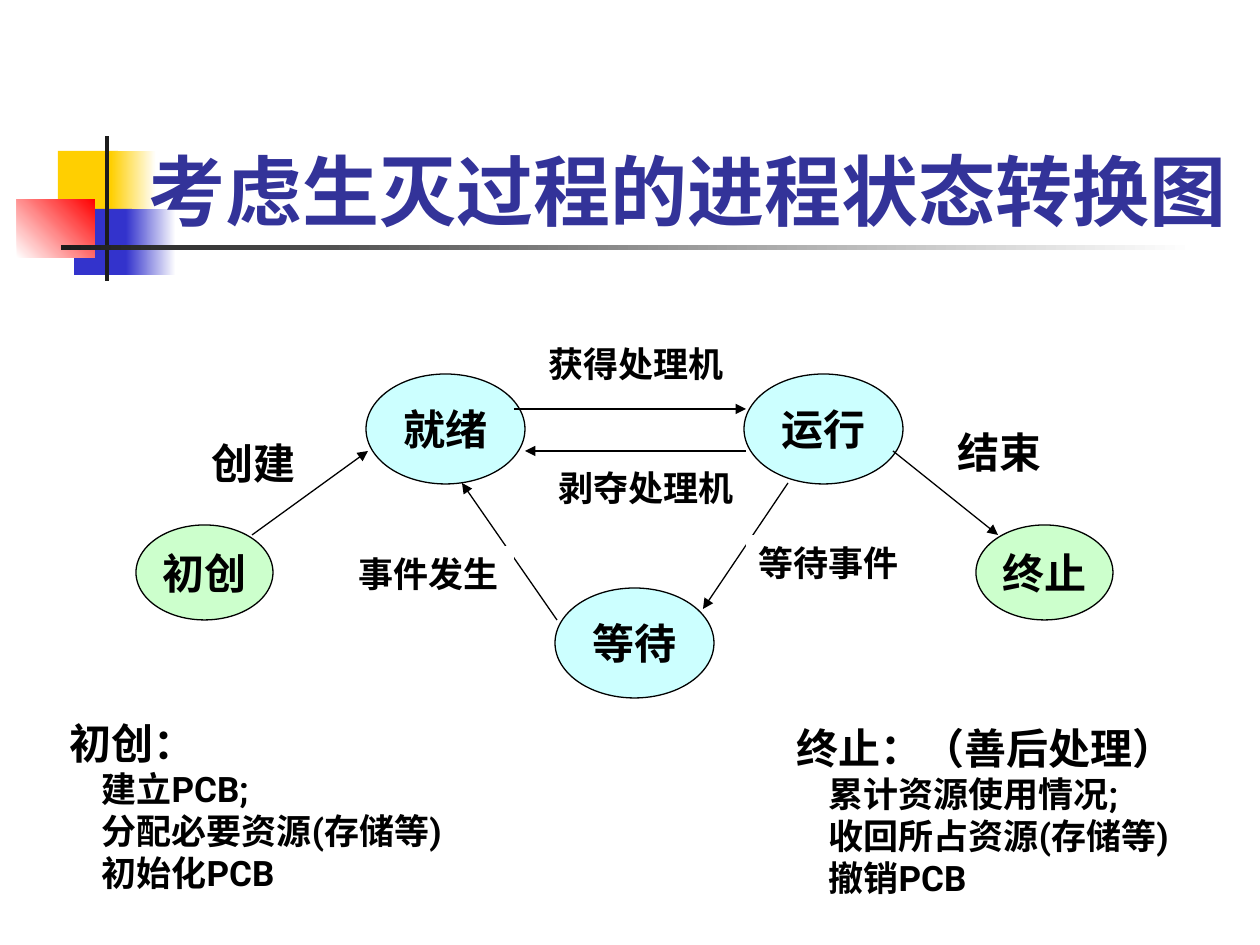
from lxml import etree
from pptx import Presentation
from pptx.dml.color import RGBColor
from pptx.enum.shapes import MSO_CONNECTOR, MSO_SHAPE
from pptx.enum.text import MSO_ANCHOR, PP_ALIGN
from pptx.oxml.ns import qn
from pptx.util import Pt

RECT, OVAL = MSO_SHAPE.RECTANGLE, MSO_SHAPE.OVAL
STRAIGHT = MSO_CONNECTOR.STRAIGHT
TOP, MIDDLE, BOTTOM = MSO_ANCHOR.TOP, MSO_ANCHOR.MIDDLE, MSO_ANCHOR.BOTTOM
LEFT, CENTER = PP_ALIGN.LEFT, PP_ALIGN.CENTER

WHITE = RGBColor(0xFF, 0xFF, 0xFF)
BLACK = RGBColor(0x00, 0x00, 0x00)
CHARCOAL = RGBColor(0x1C, 0x1C, 0x1C)
YELLOW = RGBColor(0xFF, 0xCF, 0x01)
BLUE = RGBColor(0x33, 0x33, 0xCC)
RED = RGBColor(0xFF, 0x00, 0x00)
NAVY = RGBColor(0x33, 0x33, 0x99)
CYAN = RGBColor(0xCC, 0xFF, 0xFF)
GREEN = RGBColor(0xCC, 0xFF, 0xCC)

SANS, SERIF = "Roboto", "Times New Roman"
EMU_PER_PX = 914400 / 126
INDENT = 32

TITLE = ("考虑生灭过程的进程状态转换图", (136, 84, 1109, 158))

# box, colours (two make a gradient), gradient angle
DECORATION = [
    ((58, 151, 60, 66), (YELLOW,), 0),
    ((111, 151, 45, 66), (YELLOW, WHITE), 0),
    ((74, 209, 58, 66), (BLUE,), 0),
    ((126, 209, 50, 66), (BLUE, WHITE), 0),
    ((17, 199, 78, 59), (WHITE, RED), 45),
    ((105, 136, 4, 145), (CHARCOAL,), 0),
    ((61, 245, 1134, 5), (CHARCOAL, WHITE), 0),
]

CORE_SIZE, END_SIZE = (159, 110), (137, 95)
# name, left and top, size, fill
STATES = [
    ("就绪", (366, 374), CORE_SIZE, CYAN),
    ("等待", (555, 588), CORE_SIZE, CYAN),
    ("运行", (744, 374), CORE_SIZE, CYAN),
    ("初创", (136, 525), END_SIZE, GREEN),
    ("终止", (976, 525), END_SIZE, GREEN),
]

TRANSITIONS = [
    ((514, 409), (746, 409)),
    ((788, 483), (703, 609)),
    ((557, 620), (462, 483)),
    ((746, 451), (525, 451)),
    ((252, 535), (368, 451)),
    ((893, 451), (998, 535)),
]

# text, box, size, fill
LABELS = [
    ("获得处理机", (536, 336, 210, 55), 20, WHITE),
    ("剥夺处理机", (546, 460, 210, 55), 20, WHITE),
    ("等待事件", (746, 535, 168, 55), 20, WHITE),
    ("事件发生", (346, 546, 168, 55), 20, WHITE),
    ("创建", (199, 431, 126, 63), 24, None),
    ("结束", (945, 420, 158, 63), 24, None),
]

NOTES = [
    ((57, 711, 432, 189), "初创：",
     ["建立PCB;", "分配必要资源(存储等)", "初始化PCB"]),
    ((784, 716, 432, 189), "终止：（善后处理）",
     ["累计资源使用情况;", "收回所占资源(存储等)", "撤销PCB"]),
]


def px(n):
    return round(n * EMU_PER_PX)


def add_block(s, kind, box, colors, angle=0):
    sp = s.shapes.add_shape(kind, *map(px, box))
    sp.shadow.inherit = False
    sp.line.fill.background()
    if len(colors) == 1:
        sp.fill.solid()
        sp.fill.fore_color.rgb = colors[0]
    else:
        sp.fill.gradient()
        sp.fill.gradient_angle = angle
        for stop, color in zip(sp.fill.gradient_stops, colors):
            stop.color.rgb = color
    return sp


def write(sp, lines, font, color=BLACK, anchor=TOP, align=LEFT, wrap=True):
    """Fill a shape with bold lines, each given as (text, size, indent)."""
    tf = sp.text_frame
    tf.word_wrap = wrap
    tf.vertical_anchor = anchor
    for i, (text, size, indent) in enumerate(lines):
        p = tf.add_paragraph() if i else tf.paragraphs[0]
        p.alignment = align
        if indent:
            p._p.get_or_add_pPr().set("marL", str(px(indent)))
        r = p.add_run()
        r.text = text
        for name, value in {"name": font, "size": Pt(size), "bold": True}.items():
            setattr(r.font, name, value)
        r.font.color.rgb = color


def add_arrow(s, start, end):
    line = s.shapes.add_connector(STRAIGHT, *map(px, start + end))
    line.line.color.rgb = BLACK
    line.line.width = Pt(0.75)
    etree.SubElement(line.line._get_or_add_ln(), qn("a:tailEnd"), type="triangle")
    etree.SubElement(line._element.spPr, qn("a:effectLst"))


def add_text(s, box):
    return s.shapes.add_textbox(*map(px, box))


def main():
    prs = Presentation()
    prs.slide_width, prs.slide_height = px(1260), px(945)
    s = prs.slides.add_slide(prs.slide_layouts[6])

    for box, colors, angle in DECORATION:
        add_block(s, RECT, box, colors, angle)
    title, box = TITLE
    write(add_text(s, box), [(title, 44, 0)], SANS, NAVY, BOTTOM)

    for name, corner, size, fill in STATES:
        sp = add_block(s, OVAL, corner + size, (fill,))
        sp.line.color.rgb = BLACK
        sp.line.width = Pt(0.75)
        write(sp, [(name, 24, 0)], SERIF, BLACK, MIDDLE, CENTER, False)
    for start, end in TRANSITIONS:
        add_arrow(s, start, end)
    for text, box, size, fill in LABELS:
        sp = add_block(s, RECT, box, (fill,)) if fill else add_text(s, box)
        write(sp, [(text, size, 0)], SERIF)
    for box, heading, items in NOTES:
        lines = [(heading, 24, 0)] + [(item, 20, INDENT) for item in items]
        write(add_text(s, box), lines, SANS)

    prs.save("out.pptx")


if __name__ == "__main__":
    main()
